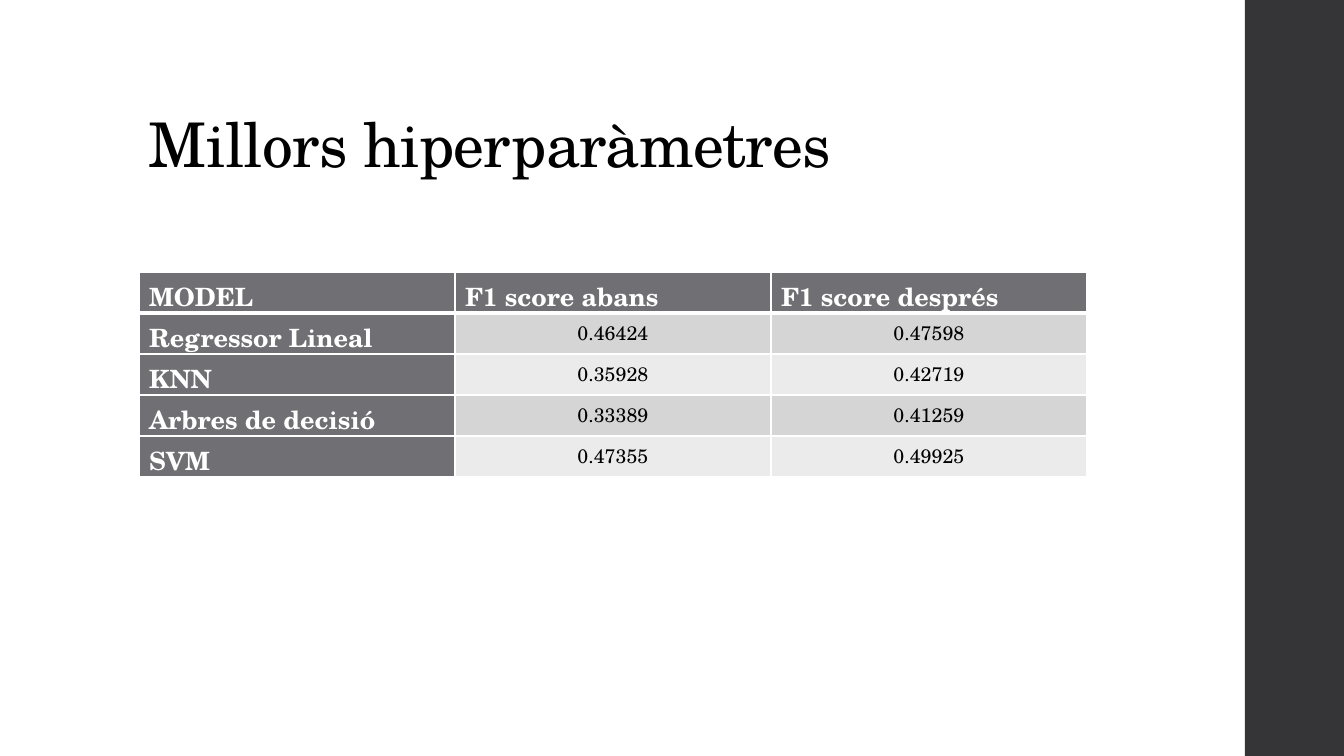
from dataclasses import dataclass

from lxml.etree import SubElement
from pptx import Presentation
from pptx.dml.color import RGBColor as RGB
from pptx.enum.shapes import MSO_SHAPE as SHAPE
from pptx.enum.text import MSO_ANCHOR as ANCHOR, PP_ALIGN as ALIGN
from pptx.oxml.ns import qn
from pptx.util import Emu, Pt


@dataclass(frozen=True)
class Theme:
    """Colours, font and type sizes of the slide."""
    font: str = "TeX Gyre Schola"
    band: str = "353537"
    head: str = "6F6F74"
    stripes: tuple = ("D5D5D6", "EBEBEB")
    ink: str = "000000"
    paper: str = "FFFFFF"
    title: int = 44
    label: int = 18
    value: int = 14
    rule: int = 1
    head_rule: int = 3


T = Theme()
W, H = 1344, 756
SCORES = [
    ("MODEL", "F1 score abans", "F1 score després"),
    ("Regressor Lineal", "0.46424", "0.47598"),
    ("KNN", "0.35928", "0.42719"),
    ("Arbres de decisió", "0.33389", "0.41259"),
    ("SVM", "0.47355", "0.49925"),
]


def px(n):
    """Turn pixels into EMU."""
    return Emu(round(n * 12192000 / W))


def style(p, size, color, bold=False):
    """Format every run of a paragraph."""
    for r in p.runs:
        r.font.name = T.font
        r.font.size = Pt(size)
        r.font.bold = bold
        r.font.color.rgb = RGB.from_string(color)


def add_band(s, x, y, w, h):
    """Draw the plain band at the slide edge."""
    sp = s.shapes.add_shape(SHAPE.RECTANGLE, px(x), px(y), px(w), px(h))
    sp.shadow.inherit = False
    sp.fill.solid()
    sp.fill.fore_color.rgb = RGB.from_string(T.band)
    sp.line.fill.background()


def add_title(s, text, x, y, w, h):
    """Set the title on the bottom of its box."""
    tf = s.shapes.add_textbox(px(x), px(y), px(w), px(h)).text_frame
    tf.word_wrap = True
    tf.vertical_anchor = ANCHOR.BOTTOM
    tf.text = text
    p = tf.paragraphs[0]
    p.line_spacing = 0.9
    style(p, T.title, T.ink)
    p.runs[0].font._element.set("spc", "-50")


def set_borders(cell, top, bottom):
    """Rule the four sides of a cell, with widths in points."""
    tc_pr = cell._tc.get_or_add_tcPr()
    sides = {"a:lnL": T.rule, "a:lnR": T.rule, "a:lnT": top, "a:lnB": bottom}
    for tag, width in sides.items():
        ln = SubElement(tc_pr, qn(tag), w=str(Pt(width)))
        fill = SubElement(ln, qn("a:solidFill"))
        SubElement(fill, qn("a:srgbClr"), val=T.paper)


def fill_cell(cell, text, row, col):
    """Write and dress one cell according to its place."""
    is_head = row == 0 or col == 0
    set_borders(cell,
                T.head_rule if row == 1 else T.rule,
                T.head_rule if row == 0 else T.rule)
    cell.fill.solid()
    color = T.head if is_head else T.stripes[(row - 1) % 2]
    cell.fill.fore_color.rgb = RGB.from_string(color)
    cell.text_frame.text = text
    p = cell.text_frame.paragraphs[0]
    if is_head:
        style(p, T.label, T.paper, True)
    else:
        p.alignment = ALIGN.CENTER
        style(p, T.value, T.ink)


def add_scores(s, rows, x, y, w, h):
    """Place the score table with equal rows and columns."""
    n, m = len(rows), len(rows[0])
    table = s.shapes.add_table(n, m, px(x), px(y), px(w), px(h)).table
    table.first_col = True
    for col in table.columns:
        col.width = px(w / m)
    for i, row in enumerate(rows):
        table.rows[i].height = px(h / n)
        for j, text in enumerate(row):
            fill_cell(table.cell(i, j), text, i, j)


def main():
    """Build and save the slide."""
    prs = Presentation()
    prs.slide_width, prs.slide_height = px(W), px(H)
    s = prs.slides.add_slide(prs.slide_layouts[6])
    s.background.fill.solid()
    s.background.fill.fore_color.rgb = RGB.from_string(T.paper)
    add_band(s, 1245, 0, 99, H)
    add_title(s, "Millors hiperparàmetres", 139, 40, 1068, 146)
    add_scores(s, SCORES, 139, 272, 948, 205)
    prs.save("out.pptx")


if __name__ == "__main__":
    main()
